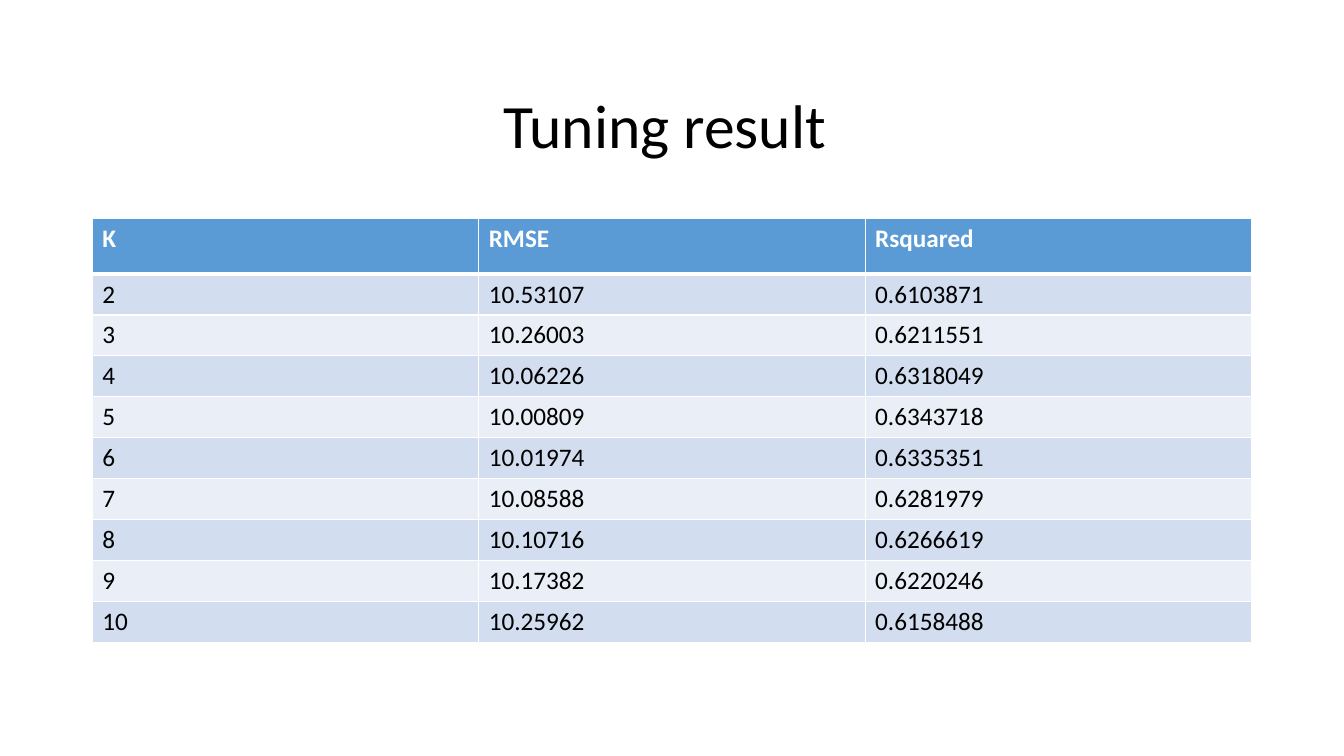
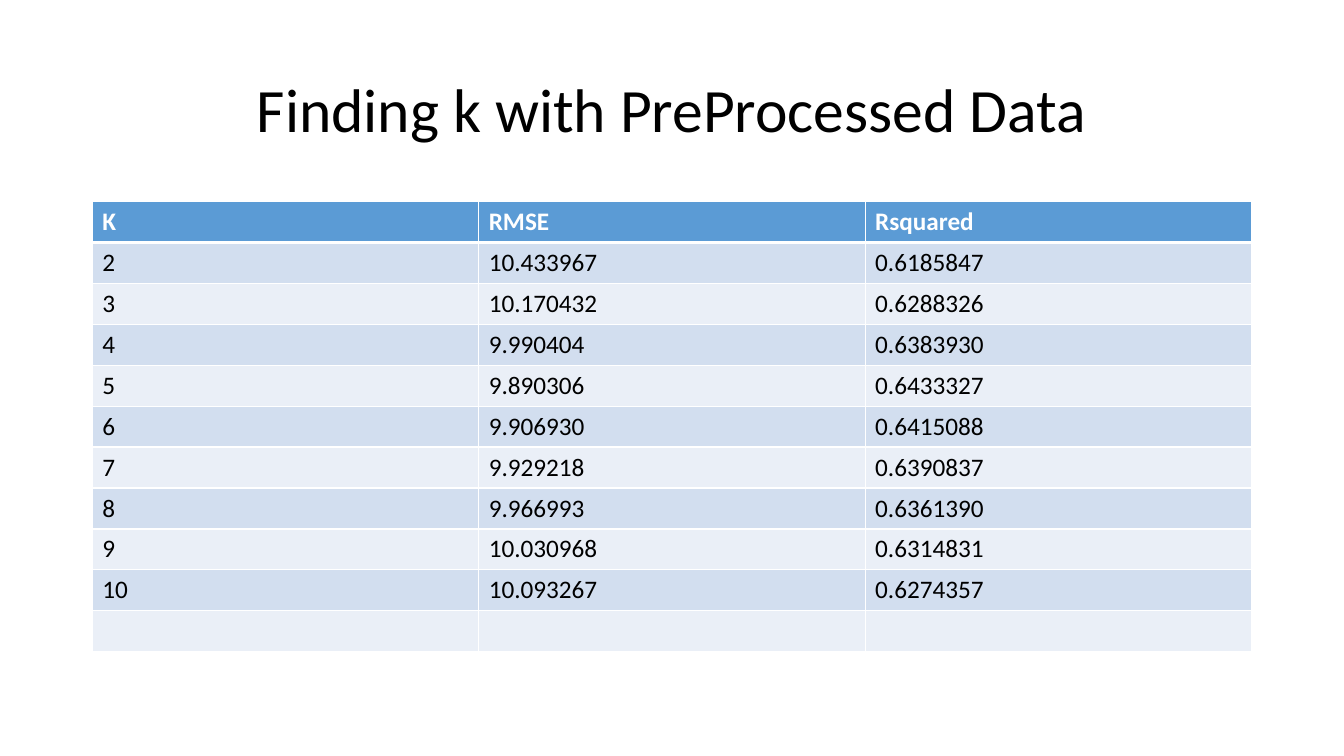
from lxml import etree
from pptx import Presentation
from pptx import util as u
from pptx.dml.color import RGBColor
from pptx.enum import text
from pptx.oxml.ns import qn

PX = 9525  # EMU per px, 96 px to the inch


def px(n):
    return u.Emu(n * PX)


def rgb(value):
    return RGBColor.from_string(value)


class Deck:
    FONT = "Calibri"
    BLACK, WHITE = "000000", "FFFFFF"
    HEADER, BANDS = "5B9BD5", ("EAEFF7", "D2DEEF")
    LEFT, WIDTH, TITLE_TOP = 88, 1104, 38
    ROW = 39
    THIN, THICK = 1, 3

    def __init__(self):
        self.prs = Presentation()
        self.prs.slide_width, self.prs.slide_height = px(1280), px(720)
        self.s = None

    def slide(self):
        self.s = self.prs.slides.add_slide(self.prs.slide_layouts[6])

    def add_text(self, p, content, color, **fmt):
        r = p.add_run()
        r.text = content
        r.font.color.rgb = rgb(color)
        for name, value in {"name": self.FONT, **fmt}.items():
            setattr(r.font, name, value)

    def title(self, content, height):
        sp = self.s.shapes.add_textbox(
            px(self.LEFT), px(self.TITLE_TOP), px(self.WIDTH), px(height))
        tf = sp.text_frame
        tf.word_wrap = True
        tf.vertical_anchor = text.MSO_ANCHOR.MIDDLE
        p = tf.paragraphs[0]
        p.alignment = text.PP_ALIGN.CENTER
        p.line_spacing = 0.9
        self.add_text(p, content, self.BLACK, size=u.Pt(44))

    def borders(self, cell, top, bottom):
        tc_pr = cell._tc.get_or_add_tcPr()
        sides = {"lnL": self.THIN, "lnR": self.THIN, "lnT": top, "lnB": bottom}
        for side, width in sides.items():
            ln = etree.SubElement(tc_pr, qn(f"a:{side}"), w=str(u.Pt(width)))
            fill = etree.SubElement(ln, qn("a:solidFill"))
            etree.SubElement(fill, qn("a:srgbClr"), val=self.WHITE)

    def table(self, rows, top, header_height):
        heights = [header_height] + [self.ROW] * (len(rows) - 1)
        cols = len(rows[0])
        tbl = self.s.shapes.add_table(
            len(rows), cols, px(self.LEFT), px(top),
            px(self.WIDTH), px(sum(heights))).table
        for col in tbl.columns:
            col.width = px(self.WIDTH // cols)
        for i, (row, height) in enumerate(zip(rows, heights)):
            tbl.rows[i].height = px(height)
            head = i == 0
            for j, value in enumerate(row):
                cell = tbl.cell(i, j)
                # Borders come before the fill in the cell properties
                self.borders(cell, self.THICK if i == 1 else self.THIN,
                             self.THICK if head else self.THIN)
                cell.fill.solid()
                cell.fill.fore_color.rgb = rgb(
                    self.HEADER if head else self.BANDS[i % 2])
                if value:
                    self.add_text(cell.text_frame.paragraphs[0], value,
                                  self.WHITE if head else self.BLACK,
                                  size=u.Pt(18), bold=head)


HEADINGS = ("K", "RMSE", "Rsquared")


def result_rows(rmse, rsquared):
    """Number the results by k, starting from 2."""
    ks = (str(k) for k in range(2, 2 + len(rmse)))
    return [HEADINGS, *zip(ks, rmse, rsquared)]


def main():
    deck = Deck()

    # Tuning result
    deck.slide()
    deck.title("Tuning result ", 169)
    deck.table(result_rows(
        ("10.53107", "10.26003", "10.06226", "10.00809", "10.01974",
         "10.08588", "10.10716", "10.17382", "10.25962"),
        ("0.6103871", "0.6211551", "0.6318049", "0.6343718", "0.6335351",
         "0.6281979", "0.6266619", "0.6220246", "0.6158488")),
        top=208, header_height=53)

    # Preprocessed data, with an empty last row
    deck.slide()
    deck.title("Finding k with PreProcessed Data", 139)
    rows = result_rows(
        ("10.433967", "10.170432", "9.990404", "9.890306", "9.906930",
         "9.929218", "9.966993", "10.030968", "10.093267"),
        ("0.6185847", "0.6288326", "0.6383930", "0.6433327", "0.6415088",
         "0.6390837", "0.6361390", "0.6314831", "0.6274357"))
    deck.table(rows + [("",) * len(HEADINGS)], top=192, header_height=deck.ROW)

    deck.prs.save("out.pptx")


if __name__ == "__main__":
    main()
